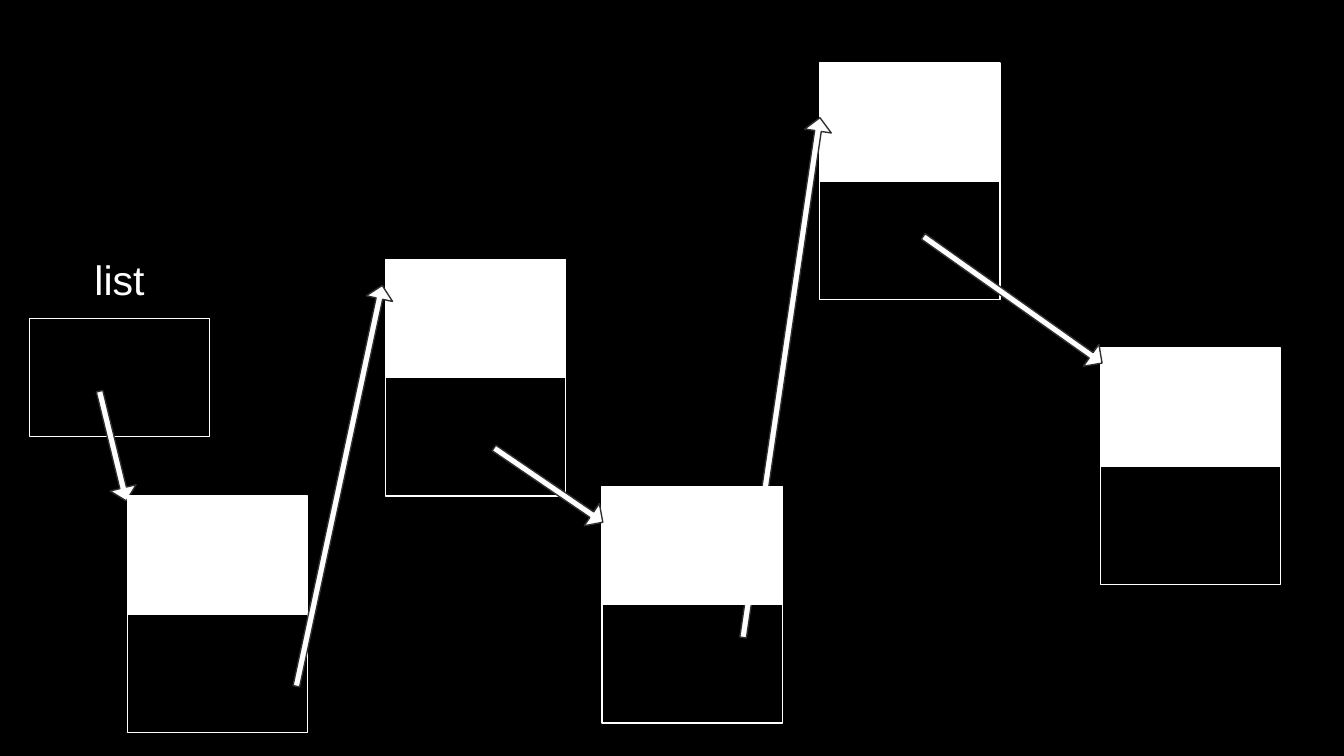
import pptx
import pptx.util
import pptx.dml.color
import pptx.enum.shapes
import pptx.enum.text

Pt = pptx.util.Pt
KIND = pptx.enum.shapes.MSO_SHAPE
HUES = {"back": "000000", "fore": "FFFFFF", "edge": "303030"}
WIDE, HIGH = 96.5, 63.4  # one cell
THICK = 14.4  # arrow head


def color(name):
    return pptx.dml.color.RGBColor.from_string(HUES[name])


def write(frame, text, size=22, font="Arial", hue="fore", align="CENTER"):
    par = frame.paragraphs[0]
    par.alignment = getattr(pptx.enum.text.PP_ALIGN, align)
    run = par.add_run()
    run.text = text
    run.font.size = Pt(size)
    run.font.name = font
    run.font.color.rgb = color(hue)


class Board:
    def __init__(self, slide):
        self.slide = slide
        slide.background.fill.solid()
        slide.background.fill.fore_color.rgb = color("back")

    def shape(self, kind, x, y, w, h, fill=None, line="fore"):
        item = self.slide.shapes.add_shape(kind, Pt(x), Pt(y), Pt(w), Pt(h))
        item.shadow.inherit = False
        if fill:
            item.fill.solid()
            item.fill.fore_color.rgb = color(fill)
        else:
            item.fill.background()
        item.line.color.rgb = color(line)
        item.line.width = Pt(0.75)
        return item

    def cell(self, x, y, fill=None):
        self.shape(KIND.RECTANGLE, x, y, WIDE, HIGH, fill)

    def node(self, x, y):
        """A value cell on top of a pointer cell."""
        self.cell(x, y, "fore")
        self.cell(x, y + HIGH)

    def arrow(self, x, y, size, angle):
        """An arrow centred on x, y."""
        item = self.shape(KIND.RIGHT_ARROW, x - size / 2, y - THICK / 2,
                          size, THICK, "fore", "edge")
        item.adjustments[0] = 0.25
        item.adjustments[1] = 0.5
        item.rotation = angle

    def label(self, text, x, y, w, h):
        frame = self.slide.shapes.add_textbox(
            Pt(x), Pt(y), Pt(w), Pt(h)).text_frame
        frame.word_wrap = True
        frame.margin_left = frame.margin_right = Pt(7.2)
        frame.margin_top = frame.margin_bottom = Pt(7.2)
        write(frame, text)


def main():
    deck = pptx.Presentation()
    deck.slide_width, deck.slide_height = Pt(720), Pt(405)
    board = Board(deck.slides.add_slide(deck.slide_layouts[6]))

    # Second node and the list head
    board.node(206.6, 139)
    board.cell(15.8, 170.6)
    board.label("list", 30.2, 128.9, 67.7, 31.7)
    board.arrow(60.5, 239, 60.5, 76.3)

    # Fourth node, with the link into it
    board.node(439.2, 33.8)
    board.arrow(418.7, 202.3, 281.5, 278.4)

    # Last node
    board.node(589.7, 186.5)
    board.arrow(542.5, 160.6, 117.4, 35.3)

    # First node, with the link out of it
    board.node(68.4, 265.7)
    board.arrow(181.8, 260.3, 219.6, 282.1)

    # Third node, drawn over the long link
    board.node(322.6, 260.6)
    board.arrow(293.8, 259.9, 70.6, 34.3)

    deck.save("out.pptx")


if __name__ == "__main__":
    main()
